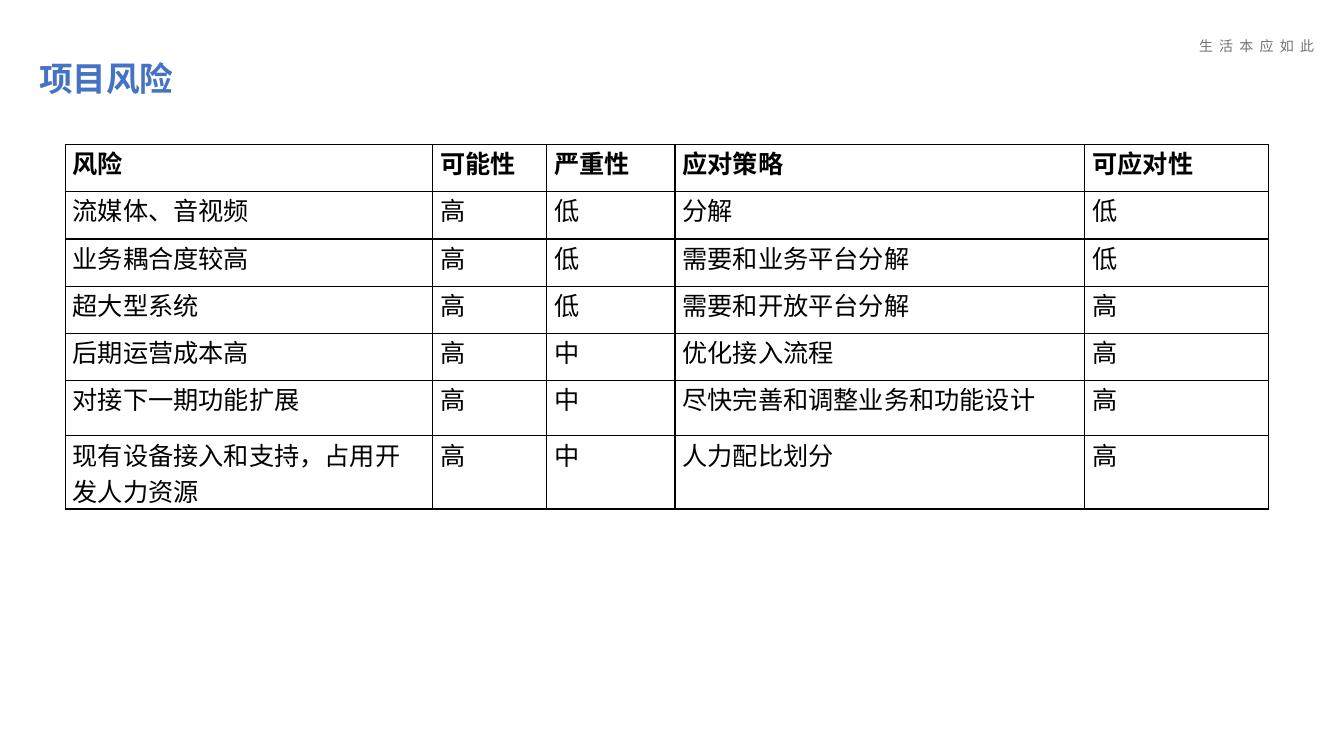
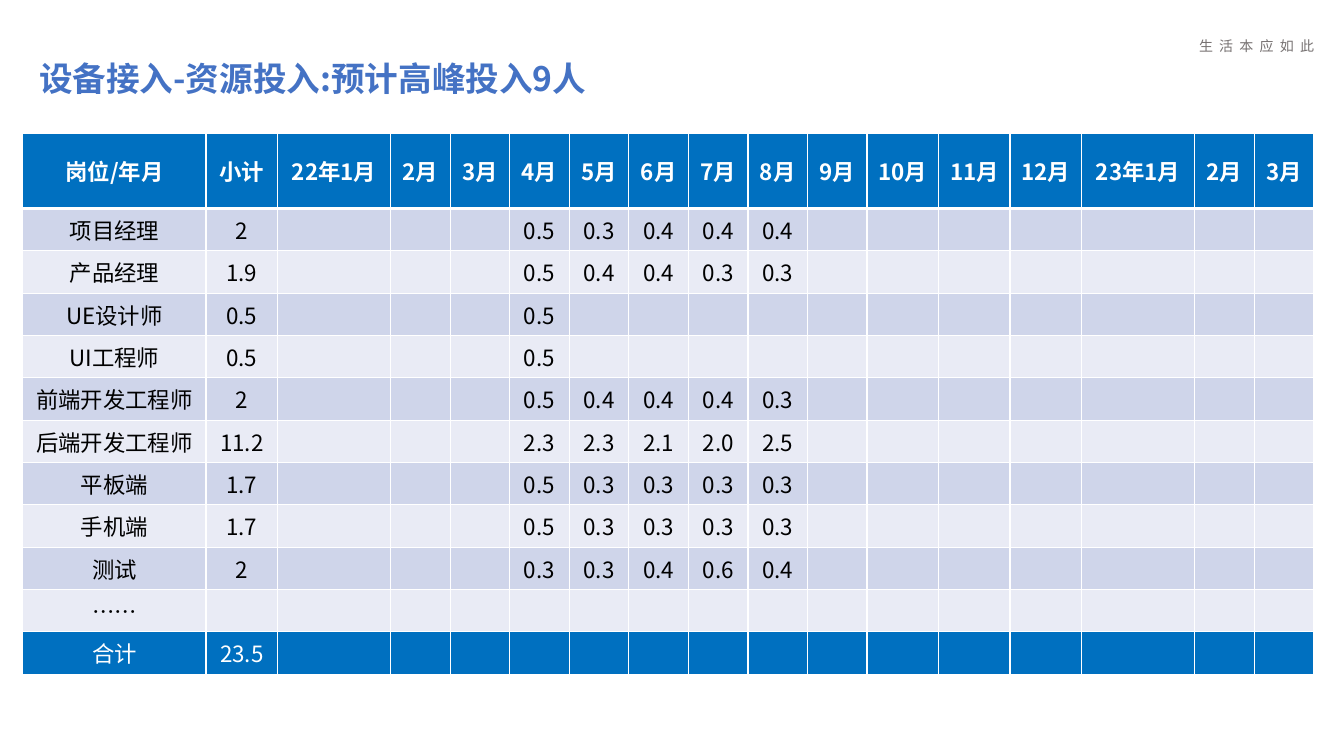
import lxml.etree
import pptx
import pptx.dml.color
import pptx.enum.text
import pptx.oxml.ns
import pptx.util

Pt = pptx.util.Pt
RGBColor = pptx.dml.color.RGBColor
qn = pptx.oxml.ns.qn
MIDDLE = pptx.enum.text.MSO_ANCHOR.MIDDLE
CENTER = pptx.enum.text.PP_ALIGN.CENTER

FONT = "Noto Sans CJK SC"
TITLE_BLUE = RGBColor(0x44, 0x72, 0xC4)
TAGLINE_GRAY = RGBColor(0x76, 0x71, 0x71)
BAND_BLUE = RGBColor(0x00, 0x70, 0xC0)
ROW_DARK = RGBColor(0xCF, 0xD5, 0xEA)
ROW_LIGHT = RGBColor(0xE9, 0xEB, 0xF5)
BLACK = RGBColor(0x00, 0x00, 0x00)
WHITE = RGBColor(0xFF, 0xFF, 0xFF)


def add_run(paragraph, text, size, color, bold=False):
    run = paragraph.add_run()
    run.text = text
    run.font.size = Pt(size)
    run.font.bold = bold
    run.font.color.rgb = color
    run.font.name = FONT
    lxml.etree.SubElement(run.font._element, qn("a:ea"), typeface=FONT)
    return run


def set_borders(cell, color, top=1, bottom=1):
    """Draw all four cell sides; call before the fill, which must follow in the XML."""
    properties = cell._tc.get_or_add_tcPr()
    for side, width in (("L", 1), ("R", 1), ("T", top), ("B", bottom)):
        line = lxml.etree.SubElement(properties, qn("a:ln" + side), w=str(Pt(width)))
        fill = lxml.etree.SubElement(line, qn("a:solidFill"))
        lxml.etree.SubElement(fill, qn("a:srgbClr"), val=str(color))


deck = pptx.Presentation()
deck.slide_width = Pt(960)
deck.slide_height = Pt(540)

# Shared tagline and title
slides = []
for heading in ("项目风险", "设备接入-资源投入:预计高峰投入9人"):
    slide = deck.slides.add_slide(deck.slide_layouts[6])
    slides.append(slide)

    tagline = slide.shapes.add_textbox(Pt(849.4), Pt(23.3), Pt(124.6), Pt(33.8)).text_frame
    tagline.word_wrap = True
    motto = add_run(tagline.paragraphs[0], "生 活 本 应 如 此", 10, TAGLINE_GRAY)
    motto.font._element.set("spc", "112")

    title = slide.shapes.add_textbox(Pt(20.9), Pt(40.9), Pt(738.7), Pt(33.8)).text_frame
    title.word_wrap = True
    title.vertical_anchor = MIDDLE
    title.paragraphs[0].line_spacing = 0.9
    add_run(title.paragraphs[0], heading, 24, TITLE_BLUE, bold=True)

risk_slide, staffing_slide = slides

# Risk table
risks = [
    ("风险", "可能性", "严重性", "应对策略", "可应对性"),
    ("流媒体、音视频", "高", "低", "分解", "低"),
    ("业务耦合度较高", "高", "低", "需要和业务平台分解", "低"),
    ("超大型系统", "高", "低", "需要和开放平台分解", "高"),
    ("后期运营成本高", "高", "中", "优化接入流程", "高"),
    ("对接下一期功能扩展", "高", "中", "尽快完善和调整业务和功能设计", "高"),
    ("现有设备接入和支持，占用开发人力资源", "高", "中", "人力配比划分", "高"),
]
risk_widths = [262.5, 81.4, 91.7, 292.8, 131.2]
risk_heights = [33.75] * 5 + [39.5, 52.25]
risk_table = risk_slide.shapes.add_table(
    len(risks), len(risk_widths), Pt(46.6), Pt(103.2),
    Pt(sum(risk_widths)), Pt(sum(risk_heights))).table
risk_table.first_row = risk_table.horz_banding = False
for column, width in zip(risk_table.columns, risk_widths):
    column.width = Pt(width)
for r, (risk, height) in enumerate(zip(risks, risk_heights)):
    risk_table.rows[r].height = Pt(height)
    for c, text in enumerate(risk):
        cell = risk_table.cell(r, c)
        cell.margin_left = cell.margin_right = Pt(5.4)
        cell.margin_top = cell.margin_bottom = 0
        set_borders(cell, BLACK)
        cell.fill.background()
        add_run(cell.text_frame.paragraphs[0], text, 18, BLACK, bold=r == 0)

# Staffing table: effort is given for April to August
months = ["22年1月"] + [f"{m}月" for m in range(2, 13)] + ["23年1月", "2月", "3月"]
month_widths = {2: 42.55, 3: 51.1, 5: 80.7}  # by label length
staffing_widths = [131, 51.1] + [month_widths[len(month)] for month in months]
FIRST_EFFORT_MONTH = months.index("4月")
efforts = [
    ("项目经理", "2", "0.5 0.3 0.4 0.4 0.4"),
    ("产品经理", "1.9", "0.5 0.4 0.4 0.3 0.3"),
    ("UE设计师", "0.5", "0.5"),
    ("UI工程师", "0.5", "0.5"),
    ("前端开发工程师", "2", "0.5 0.4 0.4 0.4 0.3"),
    ("后端开发工程师", "11.2", "2.3 2.3 2.1 2.0 2.5"),
    ("平板端", "1.7", "0.5 0.3 0.3 0.3 0.3"),
    ("手机端", "1.7", "0.5 0.3 0.3 0.3 0.3"),
    ("测试", "2", "0.3 0.3 0.4 0.6 0.4"),
    ("……", "", ""),
    ("合计", "23.5", ""),
]
staffing = [["岗位/年月", "小计"] + months]
for role, subtotal, effort in efforts:
    values = [""] * FIRST_EFFORT_MONTH + effort.split()
    staffing.append([role, subtotal] + values + [""] * (len(months) - len(values)))

# The header holds two lines of text, every other row one
staffing_heights = [53.4] + [30.25] * len(efforts)
last = len(staffing) - 1
staffing_table = staffing_slide.shapes.add_table(
    len(staffing), len(staffing_widths), Pt(16.2), Pt(95.5),
    Pt(sum(staffing_widths)), Pt(sum(staffing_heights))).table
staffing_table.horz_banding = False
for column, width in zip(staffing_table.columns, staffing_widths):
    column.width = Pt(width)
for r, (entries, height) in enumerate(zip(staffing, staffing_heights)):
    staffing_table.rows[r].height = Pt(height)
    in_band = r in (0, last)
    row_fill = BAND_BLUE if in_band else ROW_DARK if r % 2 else ROW_LIGHT
    for c, text in enumerate(entries):
        cell = staffing_table.cell(r, c)
        cell.vertical_anchor = MIDDLE
        set_borders(cell, WHITE, top=3 if r == 1 else 1, bottom=3 if r == 0 else 1)
        cell.fill.solid()
        cell.fill.fore_color.rgb = row_fill
        paragraph = cell.text_frame.paragraphs[0]
        paragraph.alignment = CENTER
        if text:
            add_run(paragraph, text, 16, WHITE if in_band else BLACK, bold=r == 0)
        else:
            lxml.etree.SubElement(paragraph._p, qn("a:endParaRPr"), sz="1600")

deck.save("out.pptx")
